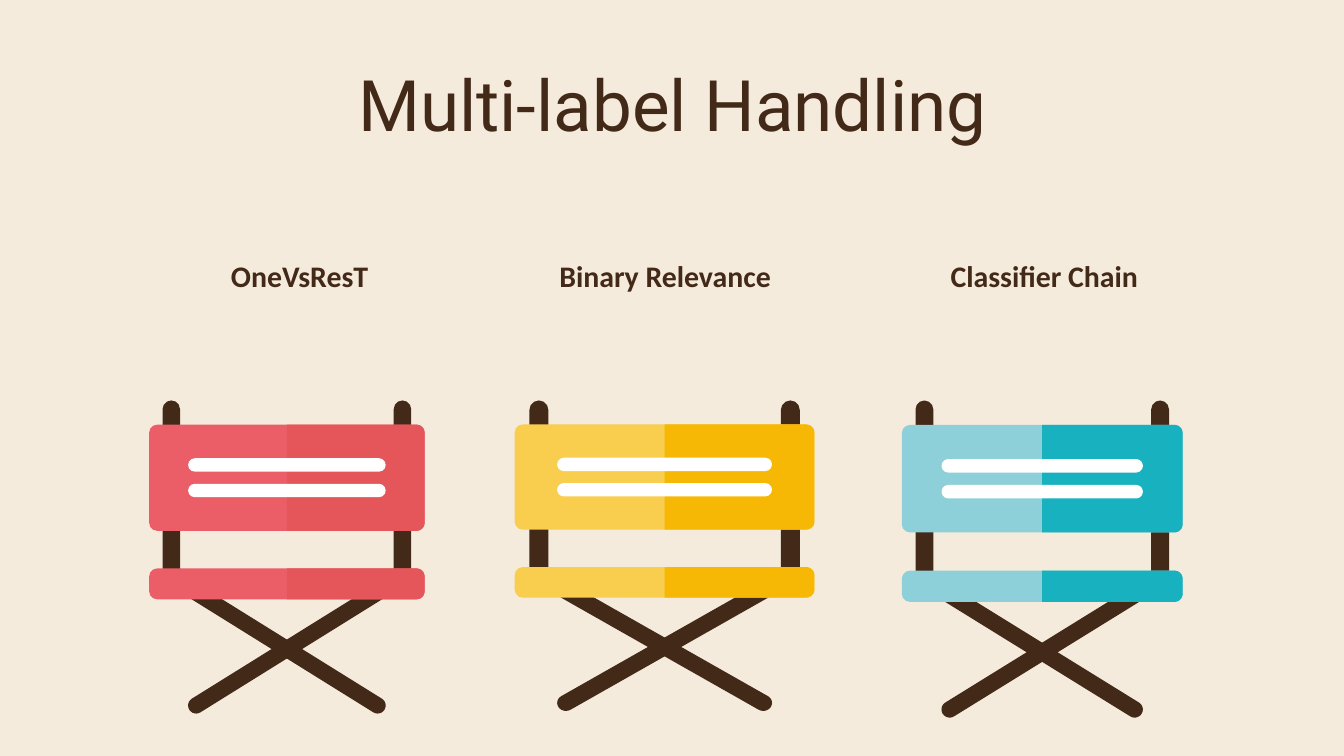
from dataclasses import dataclass
from math import atan2, cos, pi, sin

from pptx import Presentation
from pptx.dml.color import RGBColor
from pptx.enum.shapes import MSO_SHAPE
from pptx.enum.text import MSO_ANCHOR, PP_ALIGN
from pptx.util import Inches, Pt

ROUND = MSO_SHAPE.ROUNDED_RECTANGLE
MIDDLE = MSO_ANCHOR.MIDDLE
CENTER = PP_ALIGN.CENTER


@dataclass(frozen=True)
class Theme:
    """Colours, fonts and type sizes of the slide."""
    paper: str = "F5EBDC"
    wood: str = "432918"
    stripe: str = "FFFFFF"
    red: tuple = ("EB5E68", "E4565A")
    yellow: tuple = ("F9CD4D", "F6B804")
    teal: tuple = ("8ED0D9", "17B1BF")
    head: str = "Roboto"
    body: str = "Calibri"
    title: int = 38
    label: int = 16


THEME = Theme()
TOP = 2.98
WIDE, HIGH = 2.05, 2.33
CORNER = 0.06


@dataclass
class Frame:
    """Group of chair parts, with the scale from the base chair."""
    shapes: object
    left: float
    kx: float
    ky: float

    def spot(self, x, y):
        """Give the slide position of a point on the base chair."""
        return Inches(self.left + x * self.kx), Inches(TOP + y * self.ky)


def paint(shape, color):
    """Give a shape a plain fill without line or shadow."""
    shape.shadow.inherit = False
    shape.fill.solid()
    shape.fill.fore_color.rgb = RGBColor.from_string(color)
    shape.line.fill.background()


def add_text(slide, text, box, font, size, bold=False):
    """Add one centred line of text."""
    frame = slide.shapes.add_textbox(*map(Inches, box)).text_frame
    frame.word_wrap = True
    frame.vertical_anchor = MIDDLE
    frame.margin_left = frame.margin_right = Inches(0.1)
    frame.margin_top = frame.margin_bottom = Inches(0.1)
    frame.text = text
    line = frame.paragraphs[0]
    line.alignment = CENTER
    face = line.runs[0].font
    face.name, face.size, face.bold = font, Pt(size), bold
    face.color.rgb = RGBColor.from_string(THEME.wood)


def add_bar(frame, box, color, radius):
    """Add a rounded bar placed on the base chair."""
    x, y, wide, high = box
    left, top = frame.spot(x, y)
    right, base = frame.spot(x + wide, y + high)
    bar = frame.shapes.add_shape(ROUND, left, top, right - left, base - top)
    bar.adjustments[0] = radius / min(wide, high)
    paint(bar, color)


def arc(x, y, radius, start, sweep, steps=12):
    """List points along an arc, with angles in radians."""
    turns = [start + sweep * i / steps for i in range(steps + 1)]
    return [(x + radius * cos(t), y + radius * sin(t)) for t in turns]


def add_form(frame, points, color):
    """Add a closed outline placed on the base chair."""
    spots = [frame.spot(*point) for point in points]
    maker = frame.shapes.build_freeform(*spots[0])
    maker.add_line_segments(spots[1:], close=True)
    paint(maker.convert_to_shape(), color)


def add_leg(frame, start, end):
    """Add a slanted leg with round ends."""
    angle = atan2(end[1] - start[1], end[0] - start[0])
    points = arc(*start, CORNER, angle + pi / 2, pi)
    points += arc(*end, CORNER, angle - pi / 2, pi)
    add_form(frame, points, THEME.wood)


def add_half(frame, top, high, color):
    """Add the darker right half of a panel."""
    mid, side, base = WIDE / 2, WIDE - CORNER, top + high
    points = [(mid, top)]
    points += arc(side, top + CORNER, CORNER, -pi / 2, pi / 2)
    points += arc(side, base - CORNER, CORNER, 0, pi / 2)
    add_form(frame, points + [(mid, base)], color)


def add_chair(slide, left, wide, high, colors):
    """Add a folding chair in two tones."""
    group = slide.shapes.add_group_shape()
    frame = Frame(group.shapes, left, wide / WIDE, high / HIGH)
    panels = ((0.18, 0.79), (1.25, 0.23))
    for x in (0.1, 1.82):
        add_bar(frame, (x, 0, 0.13, 1.37), THEME.wood, 0.065)
    for near, far in ((0.35, 1.7), (1.7, 0.35)):
        add_leg(frame, (near, 1.43), (far, 2.27))
    for top, tall in panels:
        add_bar(frame, (0, top, WIDE, tall), colors[0], CORNER)
    for top, tall in panels:
        add_half(frame, top, tall, colors[1])
    for top in (0.43, 0.62):
        add_bar(frame, (0.29, top, 1.47, 0.1), THEME.stripe, 0.05)


def main():
    """Build and save the slide."""
    deck = Presentation()
    deck.slide_width, deck.slide_height = Inches(10), Inches(10 * 9 / 16)
    slide = deck.slides.add_slide(deck.slide_layouts[6])
    slide.background.fill.solid()
    slide.background.fill.fore_color.rgb = RGBColor.from_string(THEME.paper)
    add_text(slide, "Multi-label Handling", (0.79, 0.59, 8.43, 0.35),
             THEME.head, THEME.title)
    chairs = (
        ("OneVsResT", 1.21, 1.11, 2.05, 2.33, THEME.red),
        ("Binary Relevance", 3.93, 3.83, 2.23, 2.31, THEME.yellow),
        ("Classifier Chain", 6.75, 6.71, 2.09, 2.36, THEME.teal),
    )
    for name, start, left, wide, high, colors in chairs:
        add_text(slide, name, (start, 1.91, 2.04, 0.28),
                 THEME.body, THEME.label, True)
        add_chair(slide, left, wide, high, colors)
    deck.save("out.pptx")


if __name__ == "__main__":
    main()
